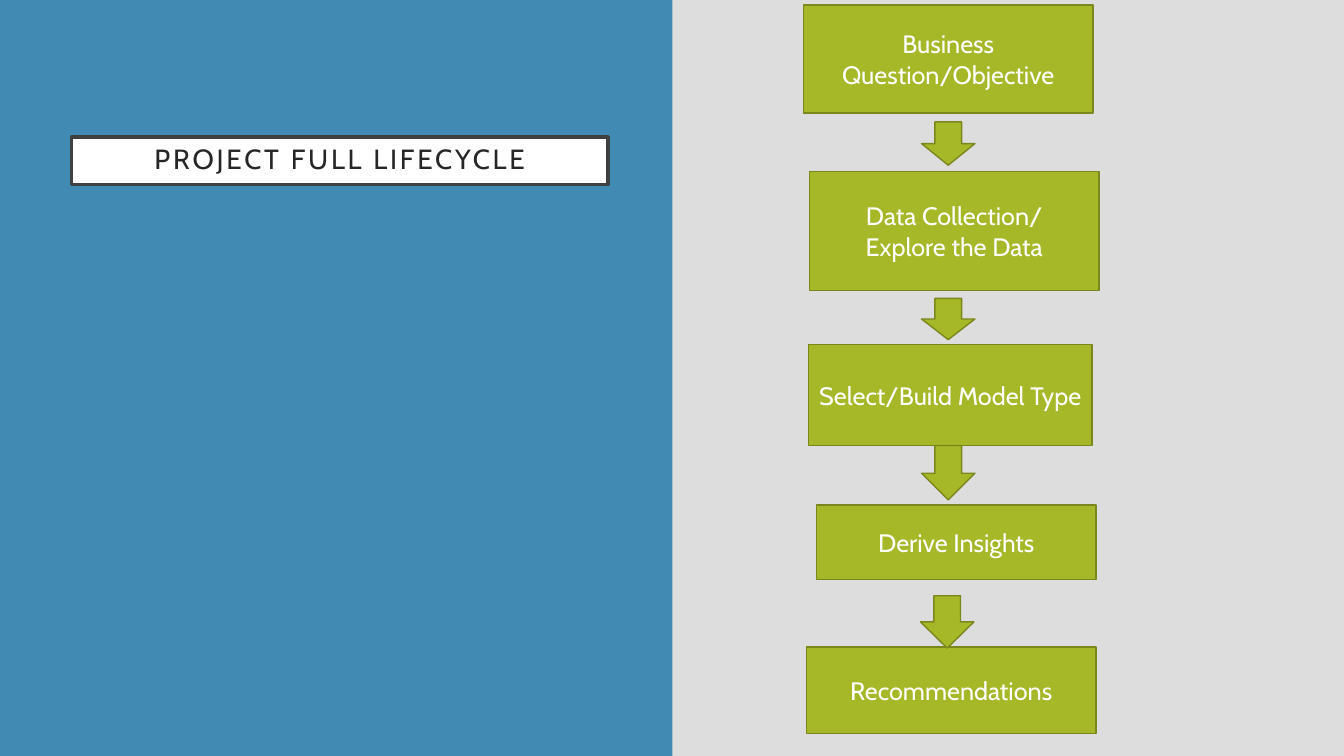
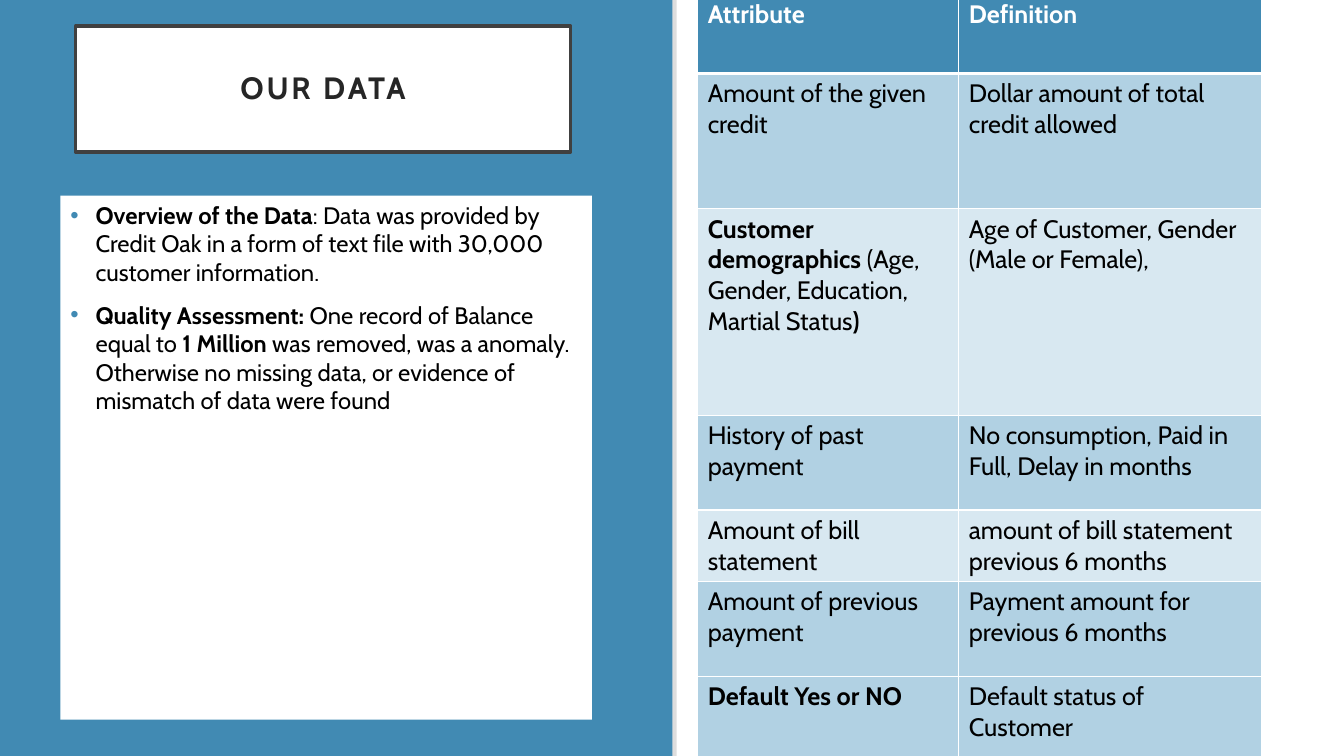
"""Build a two-slide deck: a project lifecycle flow and a data overview."""
from dataclasses import dataclass
from typing import Optional

import lxml.etree
import pptx
import pptx.dml.color
import pptx.enum.shapes
import pptx.enum.text
import pptx.oxml.ns
import pptx.util

Inches = pptx.util.Inches
Pt = pptx.util.Pt
Shape = pptx.enum.shapes.MSO_SHAPE
Align = pptx.enum.text.PP_ALIGN
Anchor = pptx.enum.text.MSO_ANCHOR
qn = pptx.oxml.ns.qn


@dataclass(frozen=True)
class Theme:
    """Colours, font and type sizes of the deck."""
    font: str = "Cabin"
    backdrop: str = "DDDDDD"
    blue: str = "418AB3"
    blue_mid: str = "B1D1E3"
    blue_pale: str = "D8E8F1"
    green: str = "A6B727"
    green_dark: str = "7B871D"
    frame: str = "404040"
    title_ink: str = "262626"
    white: str = "FFFFFF"
    black: str = "000000"
    text_size: float = 18
    bullet_size: float = 17
    flow_line: float = 1
    title_line: float = 2.5
    cell_line: float = 1
    header_line: float = 3


@dataclass(frozen=True)
class Area:
    """A rectangle in inches."""
    left: float
    top: float
    width: float
    height: float

    def lengths(self) -> tuple:
        """Return the four lengths in the order python-pptx expects."""
        return tuple(Inches(n) for n in (self.left, self.top, self.width, self.height))


@dataclass(frozen=True)
class Words:
    """A stretch of text in one weight."""
    text: str
    bold: bool = False


@dataclass(frozen=True)
class Step:
    """A lifecycle step: its lines of text and its box."""
    lines: tuple
    area: Area


@dataclass(frozen=True)
class Row:
    """A table row: height, fill, and the words of each cell."""
    height: float
    fill: str
    cells: tuple
    ink: str = "000000"


THEME = Theme()
LEFT_PANEL = Area(0, 0, 6.67, 7.5)
RIGHT_PANEL = Area(6.71, 0, 6.62, 7.5)

STEPS = (
    Step(("Business Question/Objective",), Area(7.97, 0.05, 2.87, 1.07)),
    Step(("Data Collection/", "Explore the Data"), Area(8.03, 1.7, 2.87, 1.18)),
    Step(("Select/Build Model Type",), Area(8.02, 3.42, 2.81, 1)),
    Step(("Derive Insights",), Area(8.1, 5.01, 2.77, 0.74)),
    Step(("Recommendations",), Area(8, 6.42, 2.87, 0.86)),
)
ARROWS = (
    Area(9.14, 1.21, 0.53, 0.43),
    Area(9.14, 2.96, 0.53, 0.41),
    Area(9.14, 4.42, 0.53, 0.54),
    Area(9.13, 5.91, 0.53, 0.52),
)

BULLETS = (
    (Words("Overview of the Data", True),
     Words(": Data was provided by Credit Oak in a form of text file with "
           "30,000 customer information.")),
    (Words("Quality Assessment: ", True),
     Words("One record of Balance equal to "),
     Words("1 Million ", True),
     Words("was removed, was a anomaly. Otherwise no missing data, or evidence of "
           "mismatch of data were found")),
)

COLUMN_WIDTHS = (2.59, 3)
ROWS = (
    Row(0.79, THEME.blue,
        ((Words("Attribute", True),), (Words("Definition", True),)), THEME.white),
    Row(1.34, THEME.blue_mid,
        ((Words("Amount of the given credit"),),
         (Words("Dollar amount of total credit allowed"),))),
    Row(2.05, THEME.blue_pale,
        ((Words("Customer demographics ", True),
          Words("(Age, Gender, Education, Martial Status"), Words(")", True)),
         (Words("Age of Customer, Gender (Male or Female),"),))),
    Row(0.94, THEME.blue_mid,
        ((Words("History of past payment"),),
         (Words("No consumption, Paid in Full, Delay in months"),))),
    Row(0.71, THEME.blue_pale,
        ((Words("Amount of bill statement"),),
         (Words("amount of bill statement previous 6 months"),))),
    Row(0.94, THEME.blue_mid,
        ((Words("Amount of previous payment"),),
         (Words("Payment amount for previous 6 months"),))),
    Row(0.94, THEME.blue_mid,
        ((Words("Default Yes or NO", True),),
         (Words("Default status of Customer"),))),
)


def rgb(value: str) -> pptx.dml.color.RGBColor:
    """Turn a hex string into a colour."""
    return pptx.dml.color.RGBColor.from_string(value)


def paint(shape, fill: str, line: Optional[str] = None, width: float = 1) -> None:
    """Fill a shape and outline it, or leave it without a line."""
    shape.fill.solid()
    shape.fill.fore_color.rgb = rgb(fill)
    if line is None:
        shape.line.fill.background()
    else:
        shape.line.color.rgb = rgb(line)
        shape.line.width = Pt(width)


def add_box(page, kind, area: Area, fill: str, line: Optional[str] = None):
    """Add a flat preset shape."""
    box = page.shapes.add_shape(kind, *area.lengths())
    box.shadow.inherit = False
    paint(box, fill, line, THEME.flow_line)
    return box


def add_span(para, words: Words, size: float, ink: str):
    """Add one formatted run to a paragraph."""
    span = para.add_run()
    span.text = words.text
    span.font.name = THEME.font
    span.font.size = Pt(size)
    span.font.bold = words.bold
    span.font.color.rgb = rgb(ink)
    return span


def next_para(frame, index: int):
    """Return the first paragraph of a frame, or a new one after it."""
    return frame.paragraphs[0] if index == 0 else frame.add_paragraph()


def add_page(deck, title: Words, area: Area, size: float):
    """Add a slide with the blue left panel and the framed title."""
    page = deck.slides.add_slide(deck.slide_layouts[5])
    heading = page.shapes.title
    panel = add_box(page, Shape.RECTANGLE, LEFT_PANEL, THEME.blue)
    heading.element.addprevious(panel.element)

    heading.left, heading.top, heading.width, heading.height = area.lengths()
    paint(heading, THEME.white, THEME.frame, THEME.title_line)
    frame = heading.text_frame
    frame.word_wrap = True
    frame.auto_size = pptx.enum.text.MSO_AUTO_SIZE.NONE
    frame.vertical_anchor = Anchor.MIDDLE
    frame.margin_left = frame.margin_right = Inches(0.2)
    frame.margin_top = frame.margin_bottom = Inches(0.2)
    para = frame.paragraphs[0]
    para.alignment = Align.CENTER
    para.line_spacing = 0.9
    span = add_span(para, title, size, THEME.title_ink)
    span.font._element.set("spc", "200")
    return page


def add_step(page, step: Step) -> None:
    """Add a lifecycle box with centred text."""
    box = add_box(page, Shape.RECTANGLE, step.area, THEME.green, THEME.green_dark)
    frame = box.text_frame
    frame.word_wrap = True
    frame.vertical_anchor = Anchor.MIDDLE
    for index, line in enumerate(step.lines):
        para = next_para(frame, index)
        para.alignment = Align.CENTER
        add_span(para, Words(line), THEME.text_size, THEME.white)


def set_bullet(para) -> None:
    """Give a paragraph a blue bullet and a hanging indent."""
    props = para._p.get_or_add_pPr()
    props.set("marL", str(Inches(0.25)))
    props.set("indent", str(-Inches(0.25)))
    colour = lxml.etree.SubElement(props, qn("a:buClr"))
    lxml.etree.SubElement(colour, qn("a:srgbClr"), val=THEME.blue)
    lxml.etree.SubElement(props, qn("a:buFont"), typeface="Arial")
    lxml.etree.SubElement(props, qn("a:buChar"), char="\u2022")


def add_bullets(page, area: Area) -> None:
    """Add the white text box with the notes about the data."""
    box = page.shapes.add_textbox(*area.lengths())
    paint(box, THEME.white)
    frame = box.text_frame
    frame.word_wrap = True
    for index, bullet in enumerate(BULLETS):
        para = next_para(frame, index)
        para.space_before = Pt(10)
        set_bullet(para)
        for words in bullet:
            add_span(para, words, THEME.bullet_size, THEME.black)


def set_borders(cell, top: float, bottom: float) -> None:
    """Draw white borders around a cell."""
    props = cell._tc.get_or_add_tcPr()
    widths = {"L": THEME.cell_line, "R": THEME.cell_line, "T": top, "B": bottom}
    for side, width in widths.items():
        line = lxml.etree.SubElement(props, qn("a:ln" + side), w=str(Pt(width)))
        fill = lxml.etree.SubElement(line, qn("a:solidFill"))
        lxml.etree.SubElement(fill, qn("a:srgbClr"), val=THEME.white)


def add_attributes(page, left: float, top: float) -> None:
    """Add the table of attributes and definitions."""
    area = Area(left, top, sum(COLUMN_WIDTHS), sum(row.height for row in ROWS))
    table = page.shapes.add_table(len(ROWS), len(COLUMN_WIDTHS), *area.lengths()).table
    table.horz_banding = False
    for column, width in zip(table.columns, COLUMN_WIDTHS):
        column.width = Inches(width)
    for index, row in enumerate(ROWS):
        table.rows[index].height = Inches(row.height)
        above = THEME.header_line if index == 1 else THEME.cell_line
        below = THEME.header_line if index == 0 else THEME.cell_line
        for number, content in enumerate(row.cells):
            cell = table.cell(index, number)
            set_borders(cell, above, below)
            cell.fill.solid()
            cell.fill.fore_color.rgb = rgb(row.fill)
            for words in content:
                add_span(cell.text_frame.paragraphs[0], words, THEME.text_size, row.ink)


def build_lifecycle(deck) -> None:
    """Build the slide with the flow of project steps."""
    page = add_page(deck, Words("PROJECT FULL LIFECYCLE"),
                    Area(0.71, 1.36, 5.32, 0.47), 19.8)
    for step in STEPS:
        add_step(page, step)
    for area in ARROWS:
        add_box(page, Shape.DOWN_ARROW, area, THEME.green, THEME.green_dark)


def build_data(deck) -> None:
    """Build the slide with the data notes and the attribute table."""
    page = add_page(deck, Words("OUR DATA", True), Area(0.75, 0.26, 4.91, 1.25), 22)
    add_box(page, Shape.RECTANGLE, RIGHT_PANEL, THEME.white)
    add_bullets(page, Area(0.6, 1.94, 5.27, 5.2))
    add_attributes(page, 6.92, -0.06)


def main() -> None:
    """Build and save the deck."""
    deck = pptx.Presentation()
    deck.slide_width, deck.slide_height = Inches(13.33), Inches(7.5)
    backdrop = deck.slide_master.background.fill
    backdrop.solid()
    backdrop.fore_color.rgb = rgb(THEME.backdrop)
    build_lifecycle(deck)
    build_data(deck)
    deck.save("out.pptx")


main()
